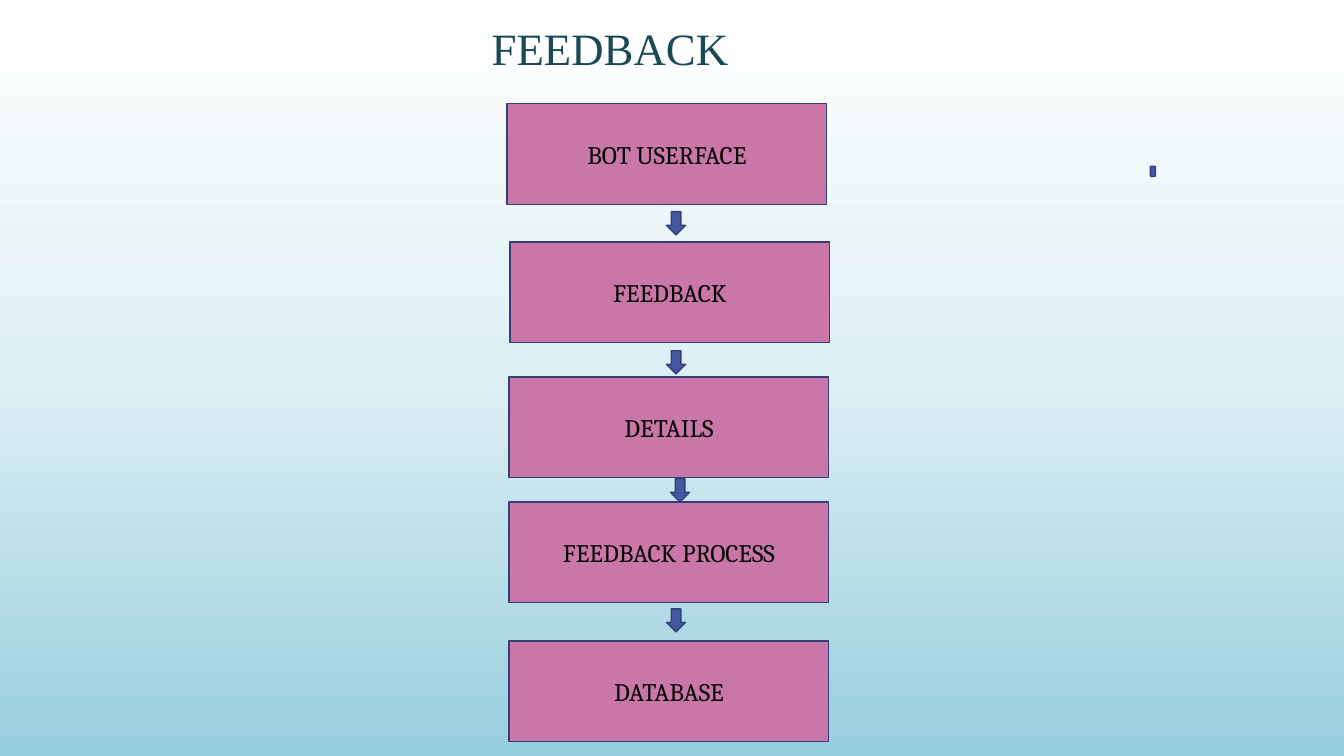
from copy import deepcopy

from pptx import Presentation
from pptx.dml.color import RGBColor
from pptx.enum import shapes, text
from pptx.oxml.ns import qn
from pptx.util import Inches, Pt

# Content: label, left and top of each step; left and top of each arrow
TITLE = "FEEDBACK"
STEPS = [
    ("BOT USERFACE", 5.03, 1.03),
    ("FEEDBACK", 5.06, 2.4),
    ("DETAILS", 5.05, 3.74),
    ("FEEDBACK PROCESS", 5.05, 4.98),
    ("DATABASE", 5.05, 6.36),
]
ARROWS = [(6.61, 2.1), (6.61, 3.48), (6.65, 4.75), (6.61, 6.04)]
STEP_SIZE = (3.17, 1)
ARROW_SIZE = (0.19, 0.23)

TEAL = RGBColor(0x1B, 0x48, 0x55)
PINK = RGBColor(0xC8, 0x77, 0xA8)
BLUE = RGBColor(0x45, 0x57, 0xA1)
NAVY = RGBColor(0x33, 0x40, 0x77)
BLACK = RGBColor(0, 0, 0)
# Background colours from the bottom edge to the top
SKY = [
    (0, RGBColor(0x97, 0xCE, 0xDE)),
    (0.5, RGBColor(0xDD, 0xEF, 0xF4)),
    (0.99, RGBColor(0xFF, 0xFF, 0xFF)),
]


def add_block(slide, kind, left, top, size, color):
    shape = slide.shapes.add_shape(kind, *map(Inches, (left, top, *size)))
    shape.shadow.inherit = False
    shape.fill.solid()
    shape.fill.fore_color.rgb = color
    shape.line.color.rgb = NAVY
    shape.line.width = Pt(1)
    return shape


def paint_background(slide):
    fill = slide.background.fill
    fill.gradient()
    fill.gradient_angle = 90
    stop_list = slide.element.find(".//" + qn("a:gsLst"))
    stop_list.append(deepcopy(stop_list[-1]))
    for stop, (position, color) in zip(fill.gradient_stops, SKY):
        stop.position = position
        stop.color.rgb = color


def add_title(slide):
    title = slide.shapes.title
    title.left, title.top, title.width, title.height = map(Inches, (4.41, 0.11, 3.42, 0.71))
    frame = title.text_frame
    frame.auto_size = text.MSO_AUTO_SIZE.NONE
    frame.vertical_anchor = text.MSO_ANCHOR.BOTTOM
    paragraph = frame.paragraphs[0]
    paragraph.alignment = text.PP_ALIGN.CENTER
    paragraph.line_spacing = 0.9
    for words, size in ((TITLE, 32), (" ", 40)):
        run = paragraph.add_run()
        run.text = words
        run.font.size = Pt(size)
        run.font.name = "Times New Roman"
        run.font.color.rgb = TEAL


def add_step(slide, label, left, top):
    step = add_block(slide, shapes.MSO_SHAPE.RECTANGLE, left, top, STEP_SIZE, PINK)
    step.text_frame.text = label
    step.text_frame.vertical_anchor = text.MSO_ANCHOR.MIDDLE
    paragraph = step.text_frame.paragraphs[0]
    paragraph.alignment = text.PP_ALIGN.CENTER
    paragraph.font.name = "Cambria"
    paragraph.font.size = Pt(18)
    paragraph.font.color.rgb = BLACK


def main():
    presentation = Presentation()
    presentation.slide_width = Inches(13.33)
    presentation.slide_height = Inches(7.5)
    slide = presentation.slides.add_slide(presentation.slide_layouts[5])

    paint_background(slide)
    add_title(slide)

    # Small marker on the right
    add_block(slide, shapes.MSO_SHAPE.ROUNDED_RECTANGLE, 11.41, 1.65, (0.05, 0.1), BLUE)

    # Flow of steps and arrows
    for label, left, top in STEPS:
        add_step(slide, label, left, top)
    for left, top in ARROWS:
        add_block(slide, shapes.MSO_SHAPE.DOWN_ARROW, left, top, ARROW_SIZE, BLUE)

    presentation.save("out.pptx")


if __name__ == "__main__":
    main()
